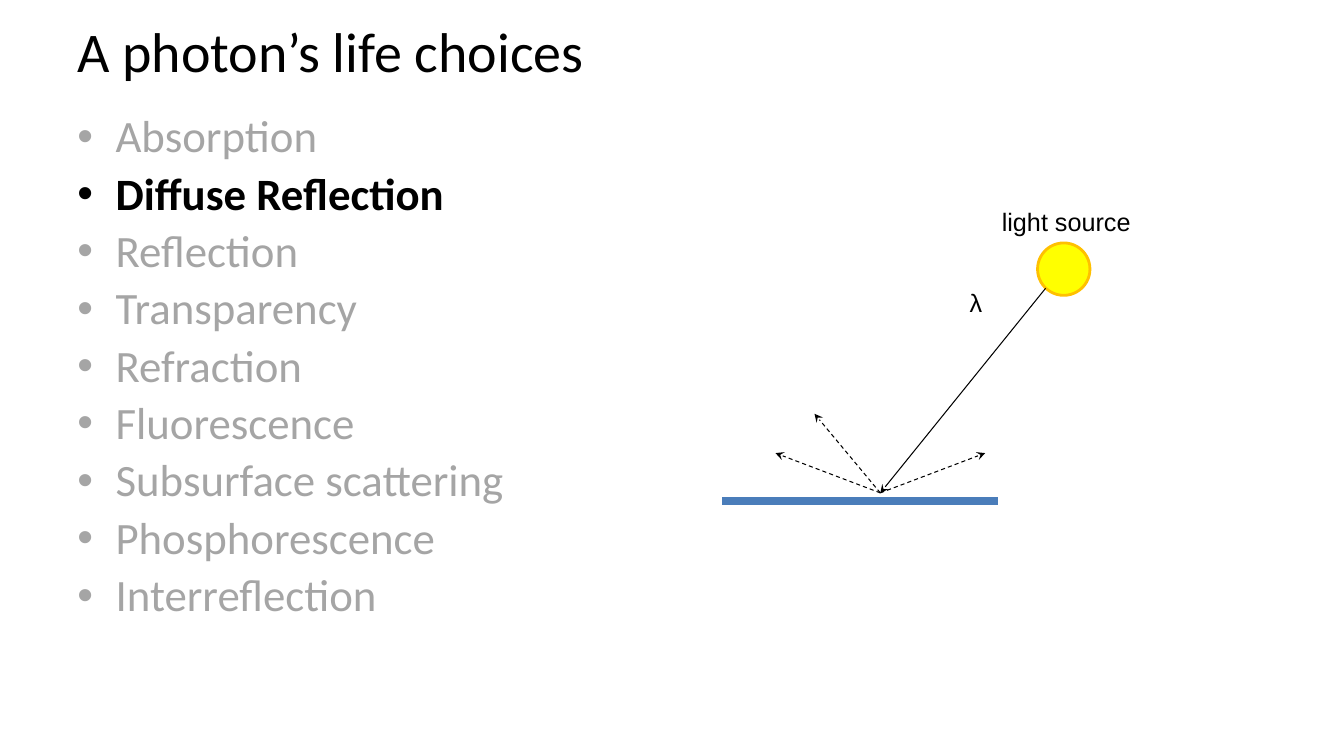
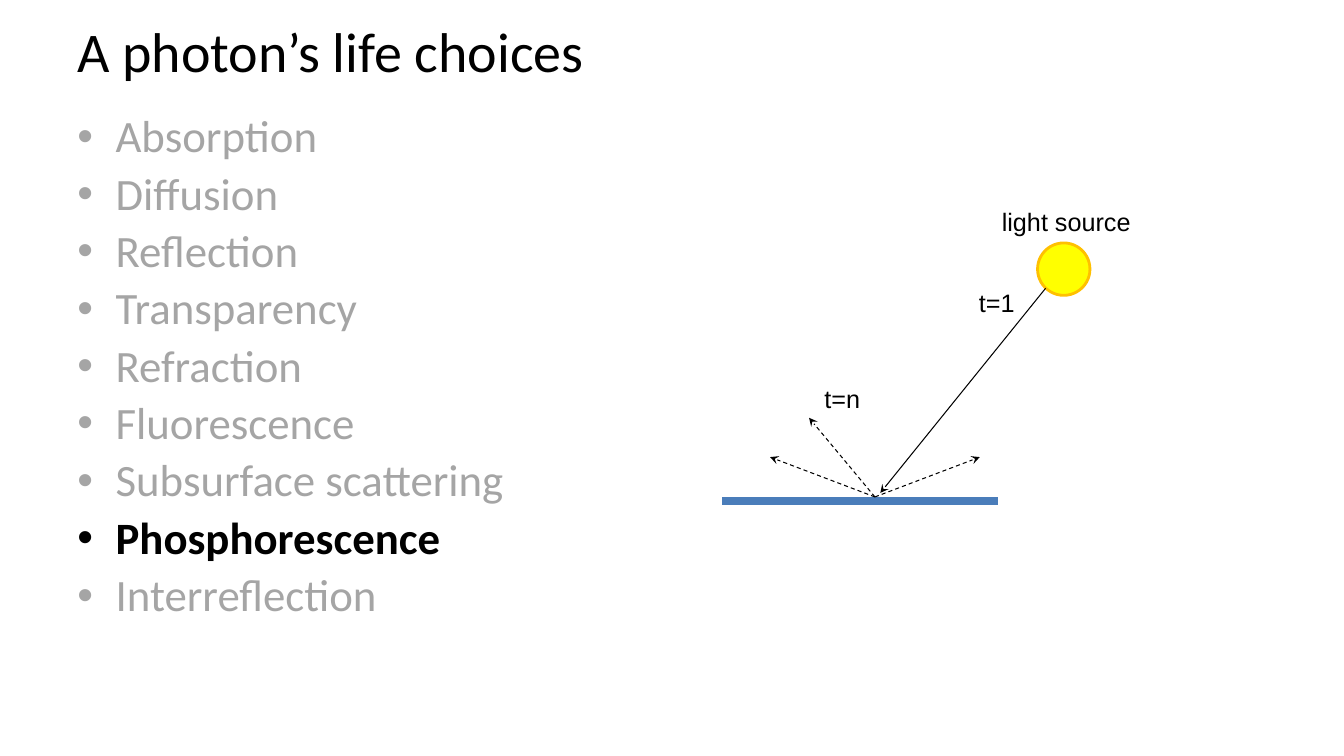
from dataclasses import dataclass

from lxml.etree import SubElement
from pptx import Presentation
from pptx.dml.color import RGBColor
from pptx.enum.dml import MSO_LINE
from pptx.enum.shapes import MSO_CONNECTOR as Connector, MSO_SHAPE as Shape
from pptx.enum.text import MSO_ANCHOR as Anchor, MSO_AUTO_SIZE as AutoSize, PP_ALIGN as Align
from pptx.oxml.ns import qn
from pptx.util import Inches, Pt


@dataclass(frozen=True)
class Theme:
    ink: str = "000000"
    muted: str = "A5A5A5"
    surface: str = "4A7DBA"
    sun: str = "FFFF00"
    sun_edge: str = "FFC000"
    text_font: str = "Calibri"
    label_font: str = "Arial"
    title_size: float = 40
    list_size: float = 32
    label_size: float = 18


THEME = Theme()

# Grid: 20 columns by 15 rows; all positions below are (column, row)
WIDTH, HEIGHT = Inches(13.33), Inches(7.5)
COLUMN, ROW = WIDTH / 20, HEIGHT / 15

TITLE_BOX = (1, 0, 18, 2)
LIST_BOX = (1, 2.16, 18, 11.24)
SURFACE = ((10.75, 9.94), (14.85, 9.94))
SUN_BOX = (15.44, 4.82, 0.78, 1.04)
SUN_LABEL_BOX = (14.76, 4, 2.25, 0.84)
RAY = ((15.56, 5.72), (13.1, 9.78))
SCATTER = ((-0.98, -1.57), (-1.56, -0.79), (1.56, -0.79))

TITLE = "A photon’s life choices"
CHOICES = (
    "Absorption", "Diffusion", "Reflection", "Transparency", "Refraction",
    "Fluorescence", "Subsurface scattering", "Phosphorescence", "Interreflection",
)


def grid(column, row):
    return round(column * COLUMN), round(row * ROW)


def grid_box(left, top, width, height):
    return grid(left, top) + grid(width, height)


def write(paragraph, text, *, size, font, color=THEME.ink, bold=False, align=Align.LEFT):
    paragraph.alignment = align
    run = paragraph.add_run()
    run.text = text
    run.font.size = Pt(size)
    run.font.name = font
    run.font.bold = bold
    run.font.color.rgb = RGBColor.from_string(color)


def add_bullet(paragraph, color):
    properties = paragraph._p.get_or_add_pPr()
    properties.set("marL", str(Inches(0.38)))
    properties.set("indent", str(-Inches(0.38)))
    bullet_color = SubElement(properties, qn("a:buClr"))
    SubElement(bullet_color, qn("a:srgbClr"), val=color)
    SubElement(properties, qn("a:buFont"), typeface=THEME.label_font)
    SubElement(properties, qn("a:buChar"), char="•")


def add_title(slide):
    frame = slide.shapes.title.text_frame
    frame.auto_size = AutoSize.NONE
    frame.vertical_anchor = Anchor.MIDDLE
    write(frame.paragraphs[0], TITLE, size=THEME.title_size, font=THEME.text_font)


def add_choices(slide, choices, chosen):
    frame = slide.placeholders[1].text_frame
    frame.auto_size = AutoSize.NONE
    for index, choice in enumerate(choices):
        paragraph = frame.add_paragraph() if index else frame.paragraphs[0]
        paragraph.line_spacing = 0.9
        paragraph.space_before = Pt(6.4 if index else 0)
        color = THEME.ink if choice == chosen else THEME.muted
        add_bullet(paragraph, color)
        write(paragraph, choice, size=THEME.list_size, font=THEME.text_font,
              color=color, bold=choice == chosen)


def add_label(slide, text, box):
    frame = slide.shapes.add_textbox(*grid_box(*box)).text_frame
    frame.word_wrap = False
    frame.auto_size = AutoSize.SHAPE_TO_FIT_TEXT
    write(frame.paragraphs[0], text, size=THEME.label_size, font=THEME.label_font)


def add_line(slide, start, end, *, color=THEME.ink, width=0.75, dashed=False, arrow=True):
    connector = slide.shapes.add_connector(Connector.STRAIGHT, *grid(*start), *grid(*end))
    connector.line.color.rgb = RGBColor.from_string(color)
    connector.line.width = Pt(width)
    if dashed:
        connector.line.dash_style = MSO_LINE.DASH
    outline = connector.element.spPr
    if arrow:
        SubElement(outline.find(qn("a:ln")), qn("a:tailEnd"), type="stealth")
    SubElement(outline, qn("a:effectLst"))


def add_sun(slide):
    sun = slide.shapes.add_shape(Shape.OVAL, *grid_box(*SUN_BOX))
    sun.shadow.inherit = False
    sun.fill.solid()
    sun.fill.fore_color.rgb = RGBColor.from_string(THEME.sun)
    sun.line.color.rgb = RGBColor.from_string(THEME.sun_edge)
    sun.line.width = Pt(2)


def add_light_diagram(slide, origin, labels):
    add_line(slide, *SURFACE, color=THEME.surface, width=6, arrow=False)
    add_sun(slide)
    add_line(slide, *RAY)
    for column, row in SCATTER:
        add_line(slide, origin, (origin[0] + column, origin[1] + row), dashed=True)
    add_label(slide, "light source", SUN_LABEL_BOX)
    for text, box in labels:
        add_label(slide, text, box)


def prepare_layout(presentation):
    """Place the shared title and list once, for every slide."""
    layout = presentation.slide_layouts[1]
    for placeholder, box in zip(layout.placeholders, (TITLE_BOX, LIST_BOX)):
        (placeholder.left, placeholder.top,
         placeholder.width, placeholder.height) = grid_box(*box)
    return layout


def add_choice_slide(presentation, layout, choices, chosen, origin, labels):
    slide = presentation.slides.add_slide(layout)
    add_title(slide)
    add_choices(slide, choices, chosen)
    add_light_diagram(slide, origin, labels)


def main():
    presentation = Presentation()
    presentation.slide_width, presentation.slide_height = WIDTH, HEIGHT
    layout = prepare_layout(presentation)

    # Diffuse reflection
    diffuse = "Diffuse Reflection"
    choices = [diffuse if choice == "Diffusion" else choice for choice in CHOICES]
    add_choice_slide(presentation, layout, choices, diffuse, (13.1, 9.78),
                     [("λ", (14.28, 5.6, 0.5, 0.8))])

    # Phosphorescence
    add_choice_slide(presentation, layout, CHOICES, "Phosphorescence", (13.02, 9.86),
                     [("t=1", (14.42, 5.6, 0.84, 0.8)), ("t=n", (12.12, 7.5, 0.84, 0.8))])

    presentation.save("out.pptx")


if __name__ == "__main__":
    main()
